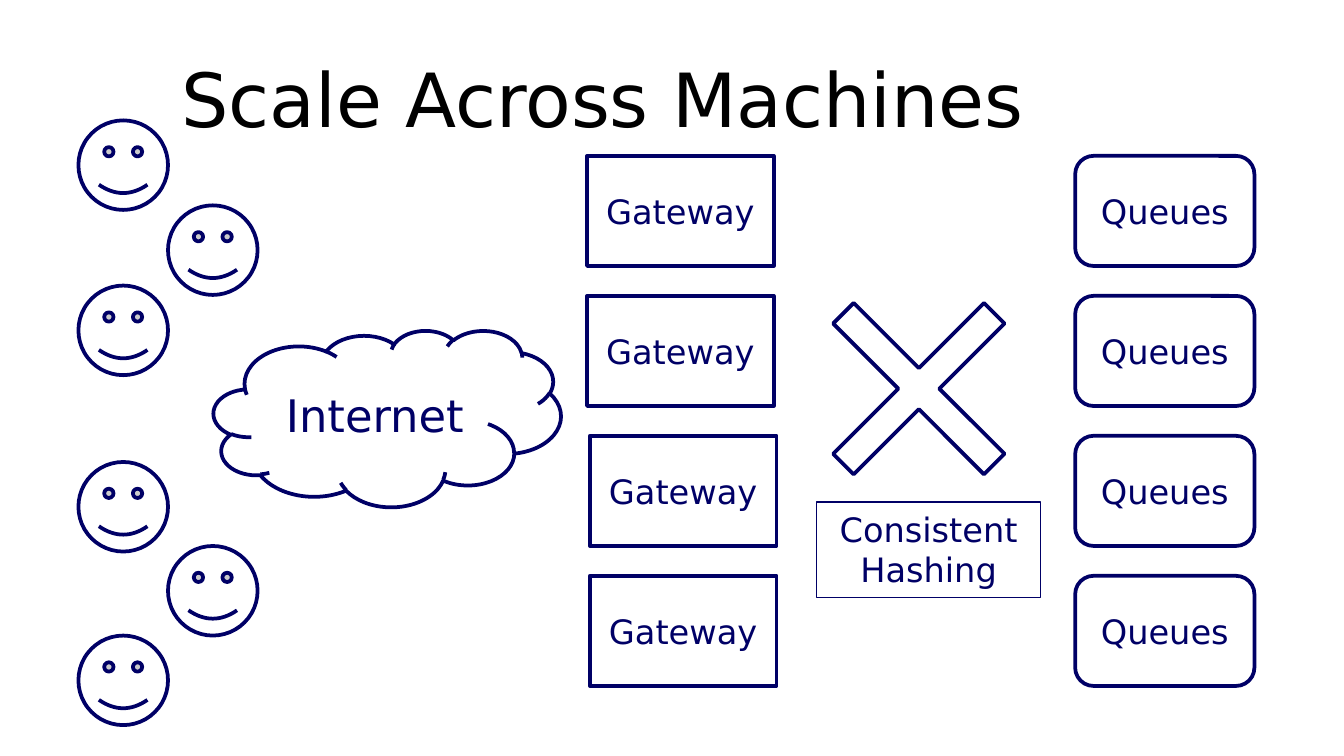
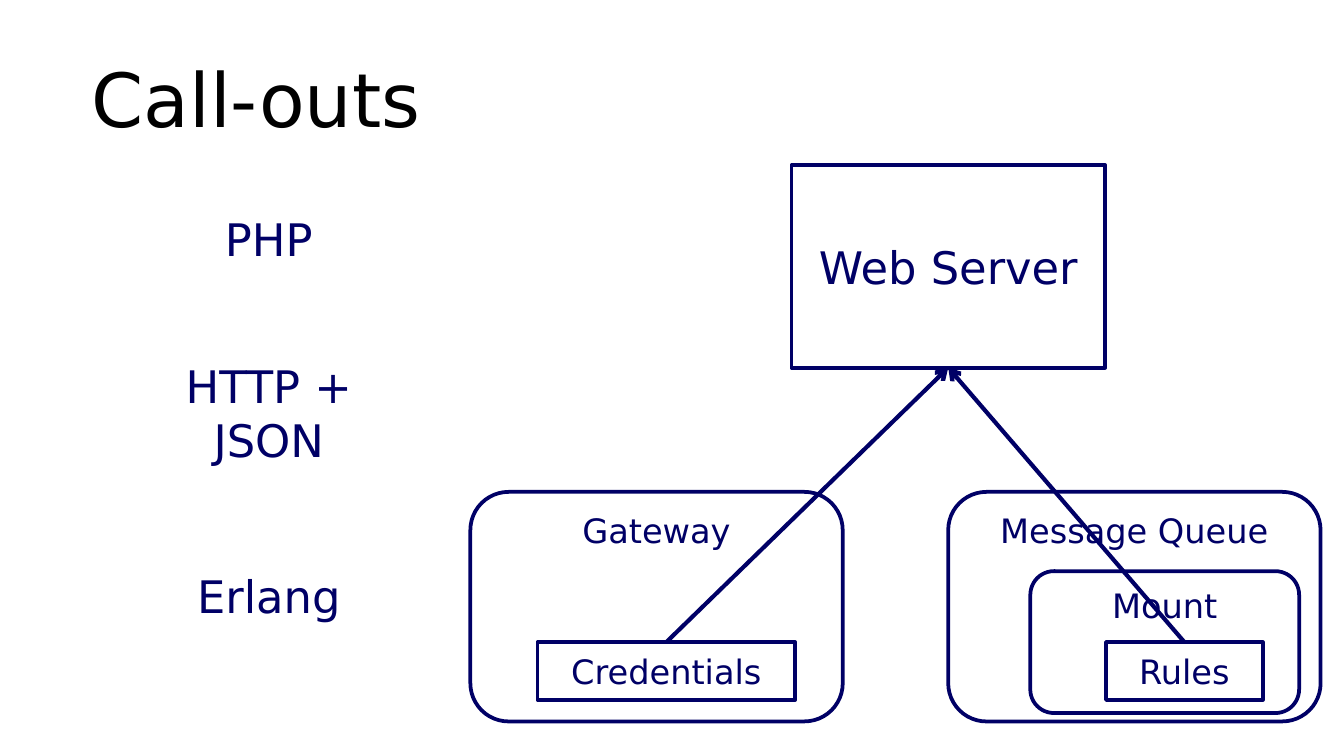
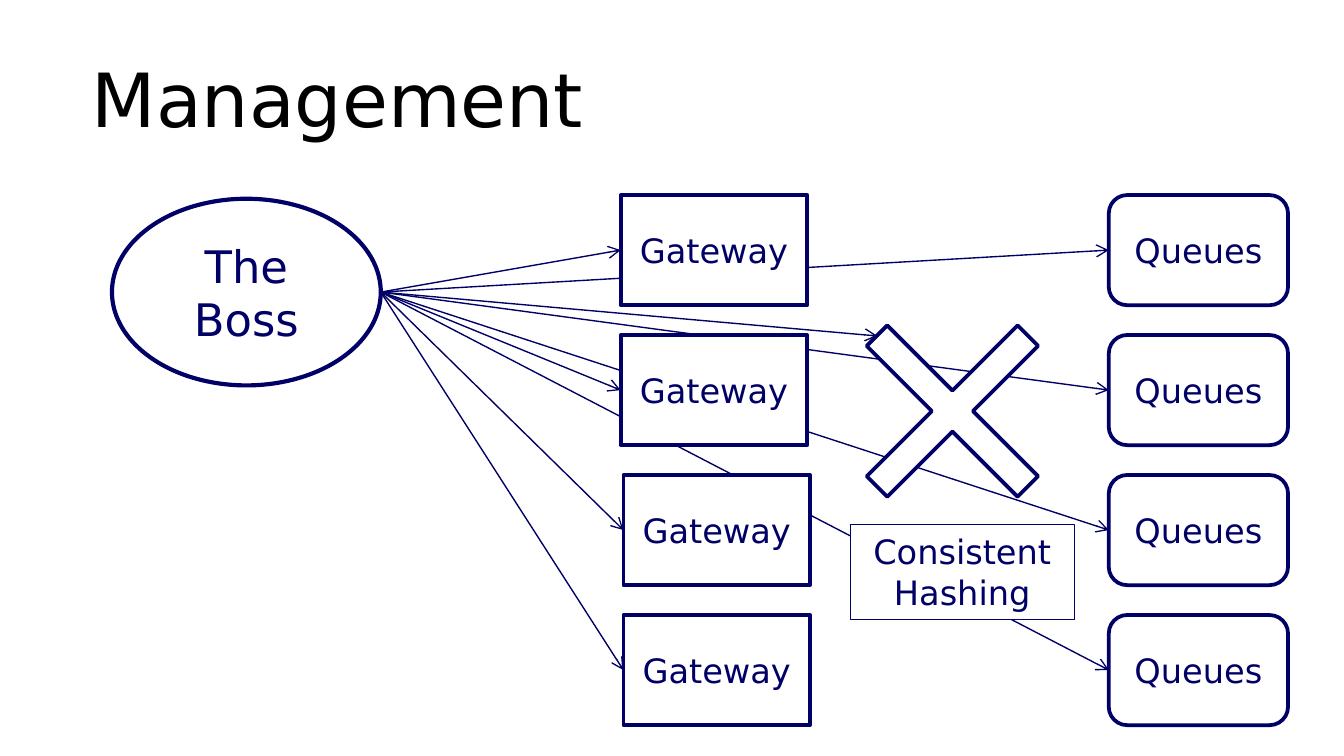
from dataclasses import dataclass
from typing import Optional

import lxml.etree
import pptx
import pptx.dml.color
import pptx.enum.shapes
import pptx.enum.text
import pptx.oxml.ns
import pptx.util

Pt = pptx.util.Pt
RGBColor = pptx.dml.color.RGBColor
Shape = pptx.enum.shapes.MSO_SHAPE
Anchor = pptx.enum.text.MSO_ANCHOR
Align = pptx.enum.text.PP_ALIGN

NAVY = RGBColor(0x00, 0x00, 0x66)
BLACK = RGBColor(0x00, 0x00, 0x00)
WHITE = RGBColor(0xFF, 0xFF, 0xFF)
FONT = "DejaVu Sans"
TITLE_ONLY = 5
ROW_PITCH = 75
FACE_SIZE = 48


@dataclass(frozen=True)
class Box:
    """A drawn shape; lengths are in points."""
    left: float
    top: float
    width: float
    height: float
    text: str = ""
    kind: Shape = Shape.RECTANGLE
    size: float = 18
    line: float = 2
    anchor: Anchor = Anchor.MIDDLE
    fill: Optional[RGBColor] = WHITE
    adjustment: Optional[float] = None
    grow: bool = False

    @property
    def left_middle(self) -> tuple[float, float]:
        return self.left, self.top + self.height / 2

    @property
    def right_middle(self) -> tuple[float, float]:
        return self.left + self.width, self.top + self.height / 2

    @property
    def top_center(self) -> tuple[float, float]:
        return self.left + self.width / 2, self.top

    @property
    def bottom_center(self) -> tuple[float, float]:
        return self.left + self.width / 2, self.top + self.height


def write_text(tf, text: str, *, size: float, color: RGBColor = NAVY,
               align: Align = Align.CENTER, anchor: Anchor = Anchor.MIDDLE) -> None:
    tf.word_wrap = True
    tf.vertical_anchor = anchor
    p = tf.paragraphs[0]
    p.alignment = align
    r = p.add_run()
    r.text = text
    r.font.name = FONT
    r.font.size = Pt(size)
    r.font.color.rgb = color


def add_slide(prs, title: str, left: float = 42):
    s = prs.slides.add_slide(prs.slide_layouts[TITLE_ONLY])
    s.background.fill.solid()
    s.background.fill.fore_color.rgb = WHITE
    sp = s.shapes.title
    sp.left, sp.top = Pt(left), Pt(16.5)
    sp.width, sp.height = Pt(678 - left), Pt(72)
    write_text(sp.text_frame, title, size=40, color=BLACK, align=Align.LEFT)
    return s


def draw_boxes(s, boxes: list[Box]) -> None:
    for box in boxes:
        sp = s.shapes.add_shape(box.kind, Pt(box.left), Pt(box.top),
                                Pt(box.width), Pt(box.height))
        sp.shadow.inherit = False
        if box.adjustment is not None:
            sp.adjustments[0] = box.adjustment
        if box.fill is None:
            sp.fill.background()
        else:
            sp.fill.solid()
            sp.fill.fore_color.rgb = box.fill
        if box.line:
            sp.line.color.rgb = NAVY
            sp.line.width = Pt(box.line)
        else:
            sp.line.fill.background()
        if box.text:
            write_text(sp.text_frame, box.text, size=box.size, anchor=box.anchor)
        if box.grow:
            sp.text_frame.auto_size = pptx.enum.text.MSO_AUTO_SIZE.SHAPE_TO_FIT_TEXT


def draw_arrow(s, start: tuple[float, float], end: tuple[float, float], width: float) -> None:
    cx = s.shapes.add_connector(pptx.enum.shapes.MSO_CONNECTOR.STRAIGHT,
                                *(Pt(v) for v in start + end))
    cx.line.color.rgb = NAVY
    cx.line.width = Pt(width)
    qn = pptx.oxml.ns.qn
    lxml.etree.SubElement(cx.line._get_or_add_ln(), qn("a:tailEnd"), type="arrow")
    lxml.etree.SubElement(cx._element.spPr, qn("a:effectLst"))


def gateways(left: float, top: float) -> list[Box]:
    """Four stacked gateways, the lower two set slightly to the right."""
    return [Box(left + (1.5 if row > 1 else 0), top + row * ROW_PITCH, 100, 59, "Gateway")
            for row in range(4)]


def queues(left: float, top: float) -> list[Box]:
    return [Box(left, top + row * ROW_PITCH, 96, 59, "Queues", Shape.ROUNDED_RECTANGLE)
            for row in range(4)]


def hashing(left: float, top: float, fill: Optional[RGBColor] = WHITE) -> list[Box]:
    """The cross between gateways and queues, with its label."""
    return [
        Box(left, top, 155.5, 155.5, kind=Shape.MATH_MULTIPLY, adjustment=0.1),
        Box(left + 23, top + 138.5, 120, 51, "Consistent Hashing", line=0.75,
            anchor=Anchor.TOP, fill=fill, grow=True),
    ]


def build_scale(prs) -> None:
    s = add_slide(prs, "Scale Across Machines", left=90)
    faces = [Box(left, top, FACE_SIZE, FACE_SIZE, kind=Shape.SMILEY_FACE)
             for left, top in ((42, 64.5), (90, 110), (42, 153),
                               (42, 247.5), (90, 292.5), (42, 340.5))]
    internet = Box(114.5, 177, 186, 94.5, "Internet", Shape.CLOUD, size=24)
    draw_boxes(s, gateways(314.5, 83.5) + queues(576, 83.5) + faces + [internet]
               + hashing(414.5, 130.5, fill=None))


def build_call_outs(prs) -> None:
    s = add_slide(prs, "Call-outs")
    labels = [Box(60, top, 168, height, text, size=24, line=0)
              for top, height, text in ((106.5, 42.5, "PHP"), (185, 72, "HTTP + JSON"),
                                        (298, 42.5, "Erlang"))]
    server = Box(424, 88.5, 168, 108.5, "Web Server", size=24)
    containers = [Box(left, top, width, height, text, Shape.ROUNDED_RECTANGLE,
                      anchor=Anchor.TOP)
                  for left, top, width, height, text in (
                      (508, 263.5, 199.5, 123, "Message Queue"),
                      (552, 306, 144, 76, "Mount"),
                      (252, 263.5, 199.5, 123, "Gateway"))]
    callers = [Box(592.5, 344, 84, 31, "Rules"), Box(288, 344, 138, 31, "Credentials")]
    draw_boxes(s, labels + [server] + containers + callers)
    for caller in callers:
        draw_arrow(s, caller.top_center, server.bottom_center, 2.25)


def build_management(prs) -> None:
    s = add_slide(prs, "Management")
    boss = Box(60, 106.5, 144, 100, "The Boss", Shape.OVAL, size=24, line=2.25)
    machines = gateways(332.5, 104.5) + queues(594, 104.5)
    cross_tip = (470, 180)
    draw_boxes(s, [boss])
    for target in [machine.left_middle for machine in machines] + [cross_tip]:
        draw_arrow(s, boss.right_middle, target, 0.75)
    draw_boxes(s, machines + hashing(432.5, 142.5))


def main() -> None:
    prs = pptx.Presentation()
    prs.slide_width, prs.slide_height = Pt(720), Pt(405)
    build_scale(prs)
    build_call_outs(prs)
    build_management(prs)
    prs.save("out.pptx")


if __name__ == "__main__":
    main()
